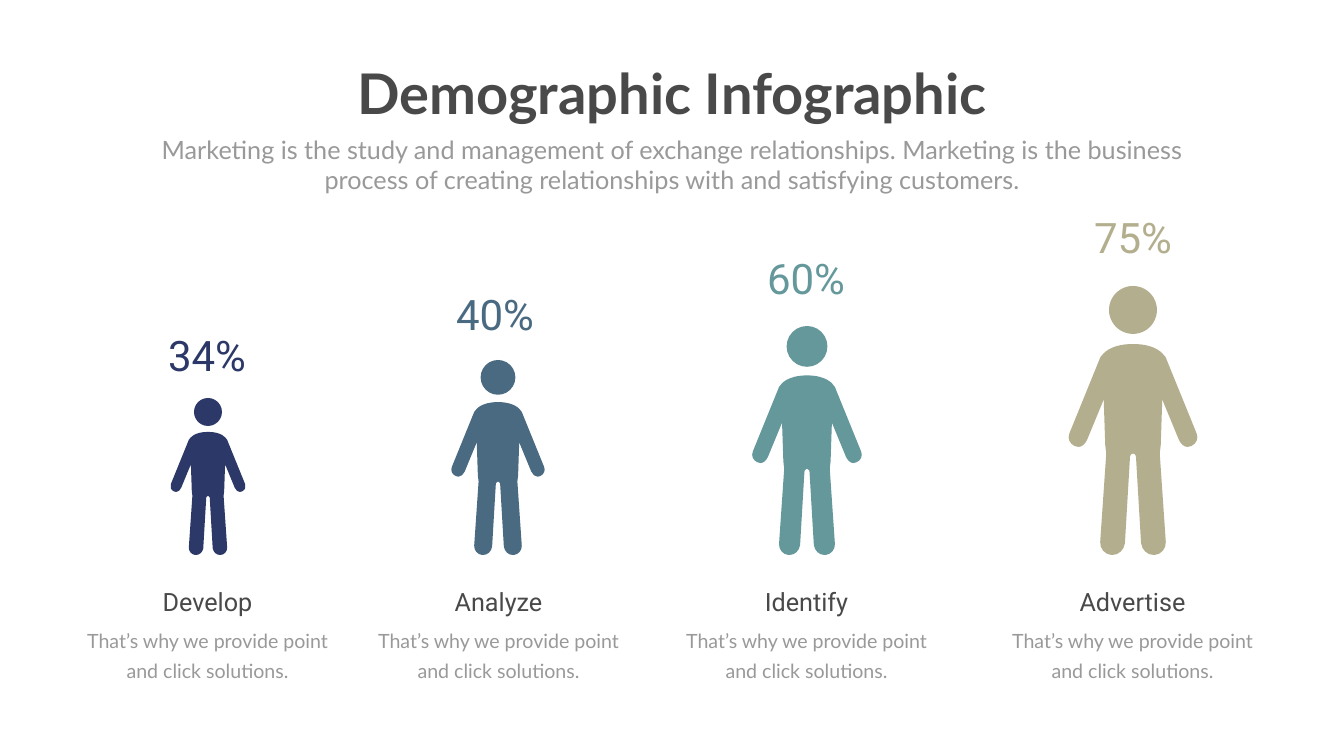
from dataclasses import dataclass

from pptx import Presentation
from pptx.dml.color import RGBColor as RGB
from pptx.enum.shapes import MSO_SHAPE as SHAPE
from pptx.enum.text import MSO_AUTO_SIZE as AUTO, PP_ALIGN as ALIGN
from pptx.oxml.ns import qn
from pptx.util import Pt

SCALE = 914400 / 50.4
SLIDE_W, SLIDE_H = 1344, 756
GROUND = 555
FIGURE_UNITS, BODY_TOP, HEAD = 533, 115, 95


@dataclass(frozen=True)
class Theme:
    dark: str = "494949"
    grey: str = "999999"
    heading: str = "Lato"
    label: str = "Roboto"
    title_size: int = 80
    percent_size: int = 60
    text_size: int = 36
    note_size: int = 28
    note_leading: int = 43


THEME = Theme()

HALF_BODY = [
    [(-48, 0), (-61, 22), (-61, 22)],
    [(-63, 24), (-65, 25), (-65, 27)],
    [(-126, 177)],
    [(-130, 187), (-126, 197), (-116, 202)],
    [(-113, 202), (-111, 204), (-108, 204)],
    [(-101, 204), (-95, 198), (-91, 190)],
    [(-58, 110)],
    [(-55, 200)],
    [(-53, 217)],
    [(-65, 392)],
    [(-66, 405), (-56, 417), (-43, 418)],
    [(-41, 418)],
    [(-28, 418), (-18, 408), (-16, 395)],
    [(-6, 225)],
    [(-6, 225), (-6, 217), (0, 217)],
]

NOTE = "That’s why we provide point and click solutions."
GROUPS = [
    ("Develop", 80, "34%", (125, 327), 208, 157, "2C3867"),
    ("Analyze", 371, "40%", (413, 286), 498, 195, "496A80"),
    ("Identify", 679, "60%", (724, 250), 807, 229, "65989B"),
    ("Advertise", 1005, "75%", (1051, 209), 1133, 269, "B3AF8E"),
]


def emu(px):
    return round(px * SCALE)


def apply(target, values):
    for name, value in values.items():
        setattr(target, name, value)


def add_text(s, box, text, font, size, color, bold=False, leading=None, wrap=True):
    tf = s.shapes.add_textbox(*map(emu, box)).text_frame
    apply(tf, {"word_wrap": wrap, "auto_size": AUTO.SHAPE_TO_FIT_TEXT})
    p = tf.paragraphs[0]
    apply(p, {"alignment": ALIGN.CENTER, "line_spacing": leading and Pt(leading)})
    r = p.add_run()
    r.text = text
    apply(r.font, {"name": font, "size": Pt(size), "bold": bold})
    r.font.color.rgb = RGB.from_string(color)


def paint(sp, color):
    sp.fill.solid()
    sp.fill.fore_color.rgb = RGB.from_string(color)
    sp.line.fill.background()
    sp.shadow.inherit = False


def body_segments():
    starts = [(0, 0)] + [segment[-1] for segment in HALF_BODY[:-1]]
    mirrored = [
        [(-x, y) for x, y in [*segment[-2::-1], start]]
        for start, segment in zip(starts, HALF_BODY)
    ]
    return HALF_BODY + mirrored[::-1]


def bend(sp, segments):
    lines = iter(list(sp.element.iter(qn("a:lnTo"))))
    for segment in segments:
        first, *rest = [next(lines) for _ in segment]
        if rest:
            first.tag = qn("a:cubicBezTo")
        for line in rest:
            first.append(line[0])
            line.getparent().remove(line)


def add_person(s, center, height, color):
    unit = height / FIGURE_UNITS
    top = GROUND - height
    segments = body_segments()
    points = [
        (emu(center + x * unit), emu(top + (BODY_TOP + y) * unit))
        for segment in segments for x, y in segment
    ]
    builder = s.shapes.build_freeform(*points[-1])
    builder.add_line_segments(points, close=True)
    body = builder.convert_to_shape()
    bend(body, segments)
    paint(body, color)
    size = HEAD * unit
    head = (center - size / 2, top, size, size)
    paint(s.shapes.add_shape(SHAPE.OVAL, *map(emu, head)), color)


def add_group(s, label, left, percent, percent_at, center, height, color):
    add_person(s, center, height, color)
    add_text(s, (left, 620, 255, 63), NOTE, THEME.heading, THEME.note_size,
             THEME.grey, leading=THEME.note_leading)
    add_text(s, (left, 584, 255, 36), label, THEME.label, THEME.text_size, THEME.dark)
    add_text(s, (*percent_at, 164, 56), percent, THEME.label,
             THEME.percent_size, color)


def main():
    prs = Presentation()
    apply(prs, {"slide_width": emu(SLIDE_W), "slide_height": emu(SLIDE_H)})
    s = prs.slides.add_slide(prs.slide_layouts[6])
    for group in GROUPS:
        add_group(s, *group)
    add_text(s, (346, 56, 652, 73), "Demographic Infographic", THEME.heading,
             THEME.title_size, THEME.dark, bold=True, wrap=False)
    add_text(s, (147, 132, 1050, 66),
             "Marketing is the study and management of exchange relationships. "
             "Marketing is the business process of creating relationships with "
             "and satisfying customers.",
             THEME.heading, THEME.text_size, THEME.grey)
    prs.save("out.pptx")


main()
